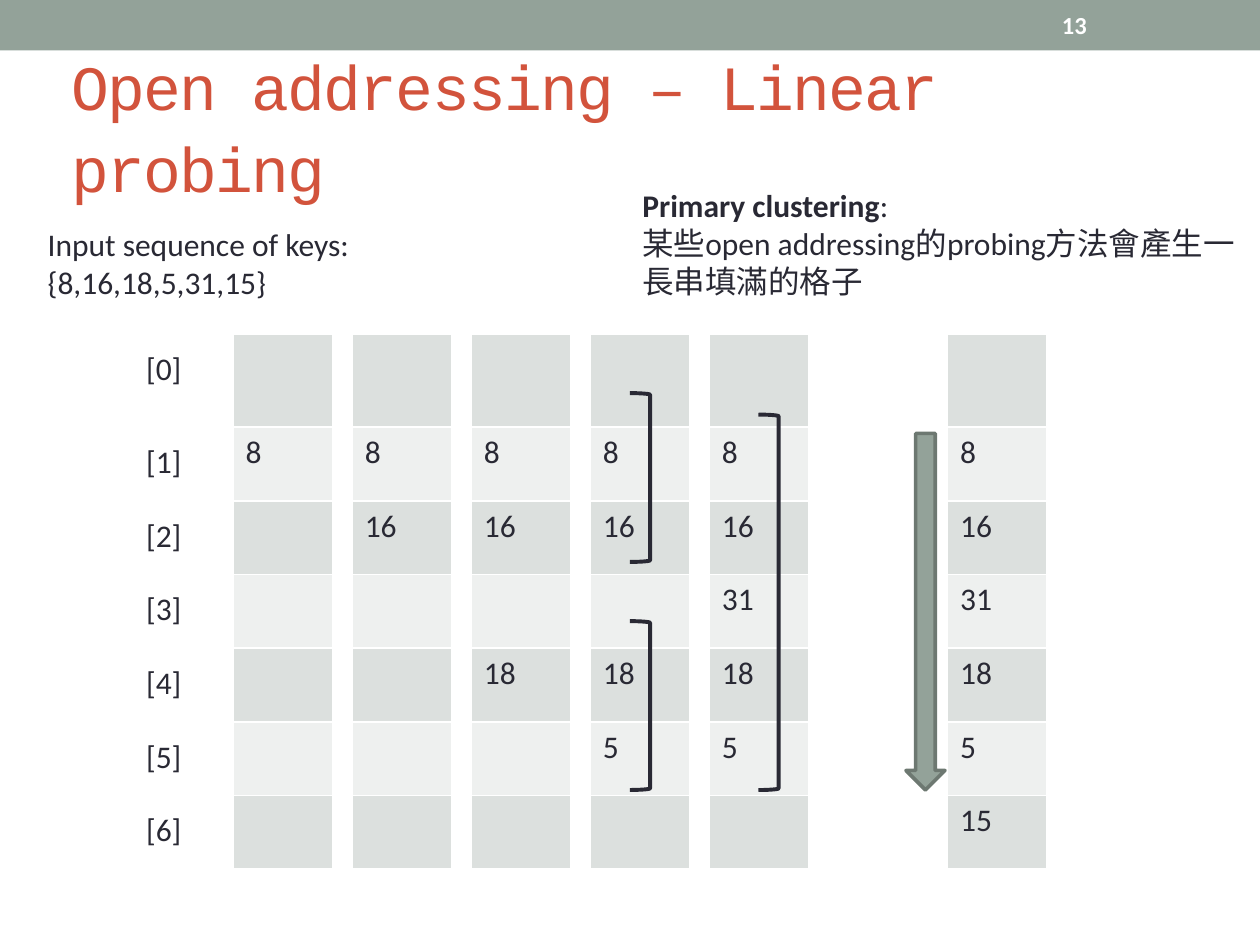
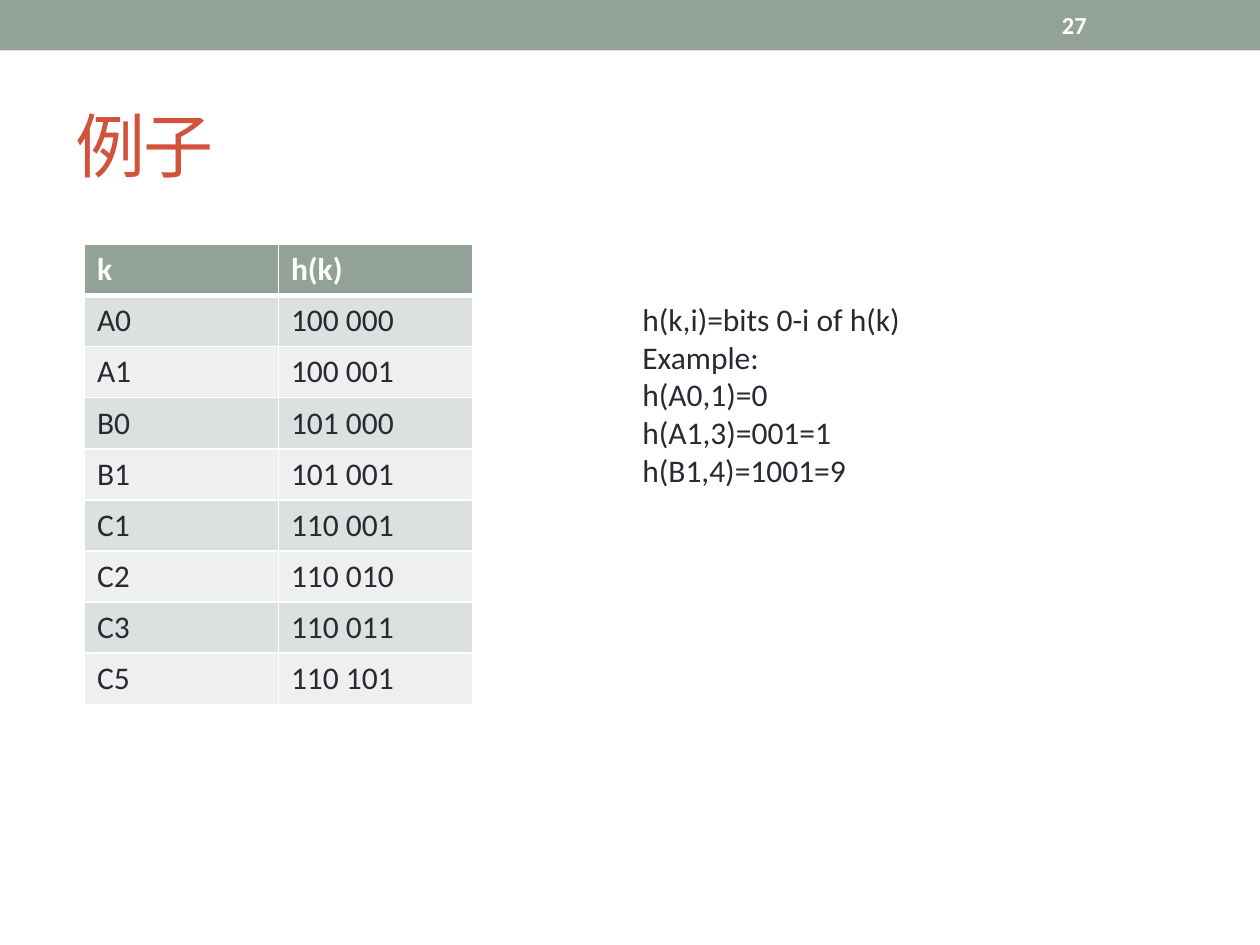
import pptx
import pptx.dml.color
import pptx.enum.shapes
import pptx.enum.text
import pptx.oxml
import pptx.oxml.ns
import pptx.util

Inches, Pt = pptx.util.Inches, pptx.util.Pt
RGBColor = pptx.dml.color.RGBColor
SHAPE = pptx.enum.shapes.MSO_SHAPE
ANCHOR = pptx.enum.text.MSO_ANCHOR

# Shared look
SAGE = RGBColor(0x93, 0xA2, 0x99)
SAGE_DARK = RGBColor(0x6D, 0x78, 0x71)
RUST = RGBColor(0xD2, 0x53, 0x3C)
INK = RGBColor(0x29, 0x29, 0x34)
WHITE = RGBColor(0xFF, 0xFF, 0xFF)
BANDS = (RGBColor(0xDC, 0xE0, 0xDE), RGBColor(0xEE, 0xF0, 0xEF))
BODY = {"name": "Calibri", "size": Pt(18), "bold": False, "color": INK}
STRONG = {**BODY, "bold": True}
HEADER = {**STRONG, "color": WHITE}
NUMBER = {**HEADER, "size": Pt(14)}
TITLE = {**BODY, "name": "Courier New", "color": RUST}

# Content: linear probing
PROBING_TITLE = "Open addressing – Linear probing"
KEYS = ["Input sequence of keys:\v{8,16,18,5,31,15}"]
CLUSTERING = [[("Primary clustering", STRONG), (":", BODY)],
              "某些open addressing的probing方法會產生一長串填滿的格子"]
SLOTS = [f"[{i}]" for i in range(7)]
# Position on the column grid -> table contents, one entry per slot
STEPS = {
    0: ["", "8", "", "", "", "", ""],
    1: ["", "8", "16", "", "", "", ""],
    2: ["", "8", "16", "", "18", "", ""],
    3: ["", "8", "16", "", "18", "5", ""],
    4: ["", "8", "16", "31", "18", "5", ""],
    6: ["", "8", "16", "31", "18", "5", "15"],
}
CLUSTERS = [(5, 3.12, 1.34), (5, 4.93, 1.34), (6.02, 3.29, 2.98)]  # left, top, height

# Content: hash example
EXAMPLE_TITLE = "例子"
HASHES = [("k", "h(k)"), ("A0", "100 000"), ("A1", "100 001"), ("B0", "101 000"),
          ("B1", "101 001"), ("C1", "110 001"), ("C2", "110 010"),
          ("C3", "110 011"), ("C5", "110 101")]
BIT_RULE = ["h(k,i)=bits 0-i of h(k)", "Example:", "h(A0,1)=0",
            "h(A1,3)=001=1", "h(B1,4)=1001=9"]


def style(font, look):
    for key, value in look.items():
        if key == "color":
            font.color.rgb = value
        else:
            setattr(font, key, value)


def add_text(slide, box, lines, look=BODY, anchor=ANCHOR.TOP):
    """Each line is a string or a list of (text, look) pieces."""
    frame = slide.shapes.add_textbox(*map(Inches, box)).text_frame
    frame.word_wrap, frame.vertical_anchor = True, anchor
    for i, line in enumerate(lines):
        paragraph = frame.add_paragraph() if i else frame.paragraphs[0]
        pieces = [(line, look)] if isinstance(line, str) else line
        for text, piece_look in pieces:
            for j, part in enumerate(text.split("\v")):
                if j:
                    paragraph.add_line_break()
                run = paragraph.add_run()
                run.text = part
                style(run.font, piece_look)
    return frame


def add_solid(slide, kind, box, fill=None, line=None, width=0):
    shape = slide.shapes.add_shape(kind, *map(Inches, box))
    shape.shadow.inherit = False
    if fill:
        shape.fill.solid()
        shape.fill.fore_color.rgb = fill
    else:
        shape.fill.background()
    if line:
        shape.line.color.rgb, shape.line.width = line, Pt(width)
    else:
        shape.line.fill.background()


def add_borders(cell, top, bottom):
    props = cell._tc.get_or_add_tcPr()
    for i, (side, width) in enumerate(zip("LRTB", (1, 1, top, bottom))):
        props.insert(i, pptx.oxml.parse_xml(
            f'<a:ln{side} {pptx.oxml.ns.nsdecls("a")} w="{Pt(width)}"><a:solidFill>'
            f'<a:srgbClr val="{WHITE}"/></a:solidFill></a:ln{side}>'))


def add_grid(slide, left, top, rows, col_width, heights, header=False, filled=True):
    cols = len(rows[0])
    table = slide.shapes.add_table(len(rows), cols, Inches(left), Inches(top),
                                   Inches(col_width * cols), Inches(sum(heights))).table
    table.first_row, table.horz_banding = header, False
    for column in table.columns:
        column.width = Inches(col_width)
    for r, (row, height) in enumerate(zip(rows, heights)):
        table.rows[r].height = Inches(height)
        in_header = header and r == 0
        for c, text in enumerate(row):
            cell = table.cell(r, c)
            cell.text = text
            style(cell.text_frame.paragraphs[0].font, BODY)
            for run in cell.text_frame.paragraphs[0].runs:
                style(run.font, HEADER if in_header else BODY)
            if filled:
                cell.fill.solid()
                cell.fill.fore_color.rgb = SAGE if in_header else BANDS[(r - header) % 2]
            else:
                cell.fill.background()
            add_borders(cell, 3 if header and r == 1 else 1, 3 if in_header else 1)


def add_page(deck, title, title_at, title_size, number):
    slide = deck.slides.add_slide(deck.slide_layouts[6])
    add_solid(slide, SHAPE.RECTANGLE, (0, 0, 10, 0.4), SAGE)
    heading = add_text(slide, (*title_at, 9, 1.08), [title],
                       {**TITLE, "size": Pt(title_size)}, ANCHOR.MIDDLE).paragraphs[0]
    heading.line_spacing = 1.08
    heading.runs[0].font._element.set("spc", "-100")
    add_text(slide, (8.33, 0.02, 1.17, 0.36), [number], NUMBER, ANCHOR.MIDDLE)
    return slide


def build_probing(deck):
    slide = add_page(deck, PROBING_TITLE, (0.47, 0.44), 36, "13")
    add_text(slide, (0.28, 1.74, 4.38, 0.71), KEYS)
    add_text(slide, (5, 1.43, 5, 1.01), CLUSTERING)

    # Slot labels and one table per insertion
    first, last, top, width = 1.85, 7.52, 2.65, 0.79
    pitch = (last - first) / 6
    heights = [0.74] + [(4.25 - 0.74) / 6] * 6
    add_grid(slide, first - width, top + 0.08, [[s] for s in SLOTS], width, heights,
             filled=False)
    for position, values in STEPS.items():
        add_grid(slide, first + position * pitch, top, [[v] for v in values], width, heights)

    # Clusters and probing direction
    for left, cluster_top, height in CLUSTERS:
        add_solid(slide, SHAPE.RIGHT_BRACKET, (left, cluster_top, 0.16, height),
                  line=INK, width=2.25)
    add_solid(slide, SHAPE.DOWN_ARROW, (7.19, 3.44, 0.31, 2.83), SAGE, SAGE_DARK, 2.08)


def build_example(deck):
    slide = add_page(deck, EXAMPLE_TITLE, (0.5, 0.58), 40, "27")
    add_grid(slide, 0.67, 1.94, HASHES, 1.54, [3.65 / len(HASHES)] * len(HASHES), header=True)
    add_text(slide, (5, 2.33, 2.3, 1.62), BIT_RULE)


def main():
    deck = pptx.Presentation()
    deck.slide_width, deck.slide_height = Inches(10), Inches(7.5)
    build_probing(deck)
    build_example(deck)
    deck.save("out.pptx")


if __name__ == "__main__":
    main()
